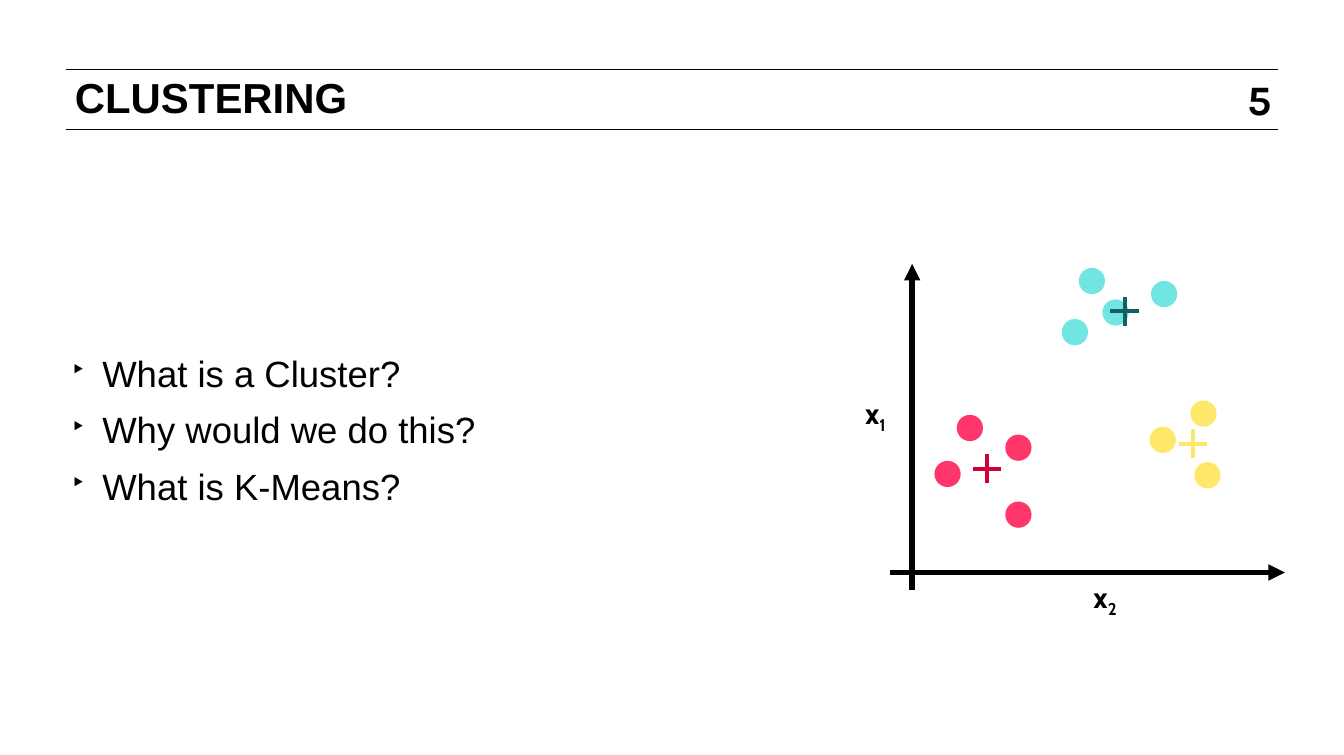
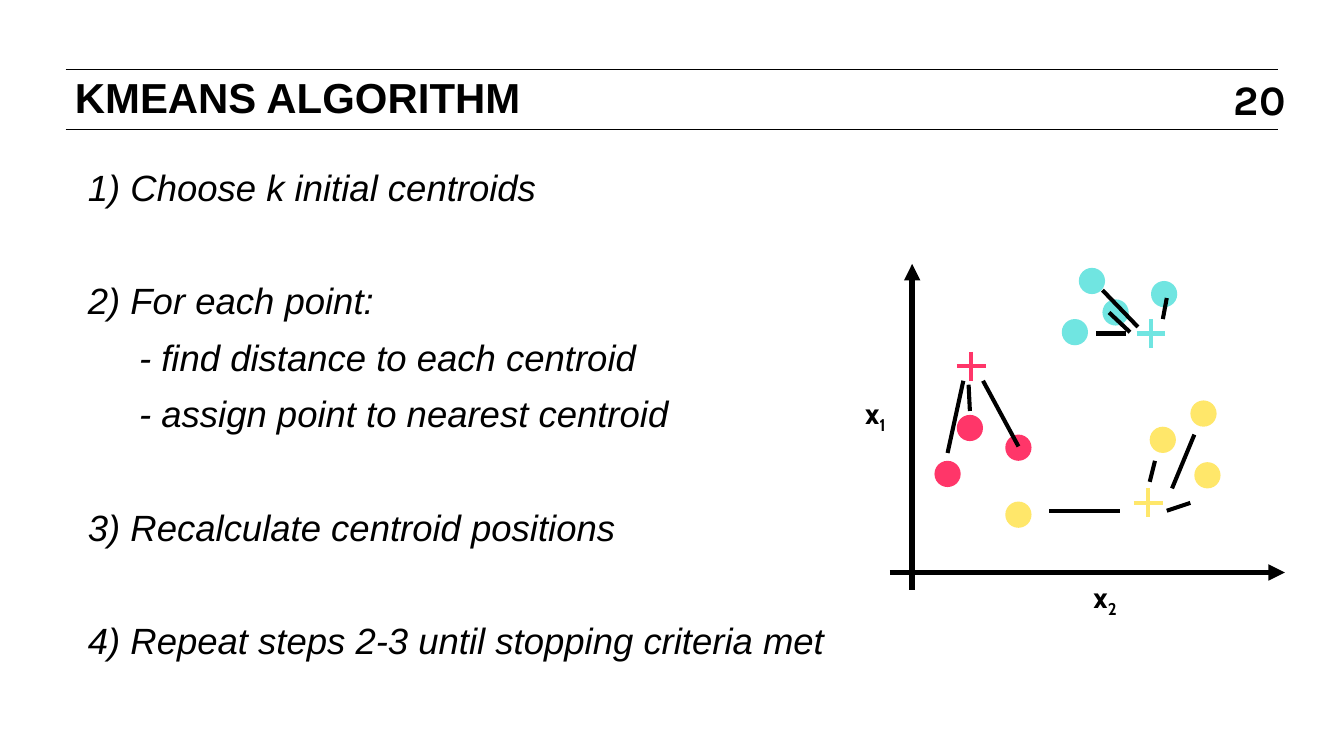
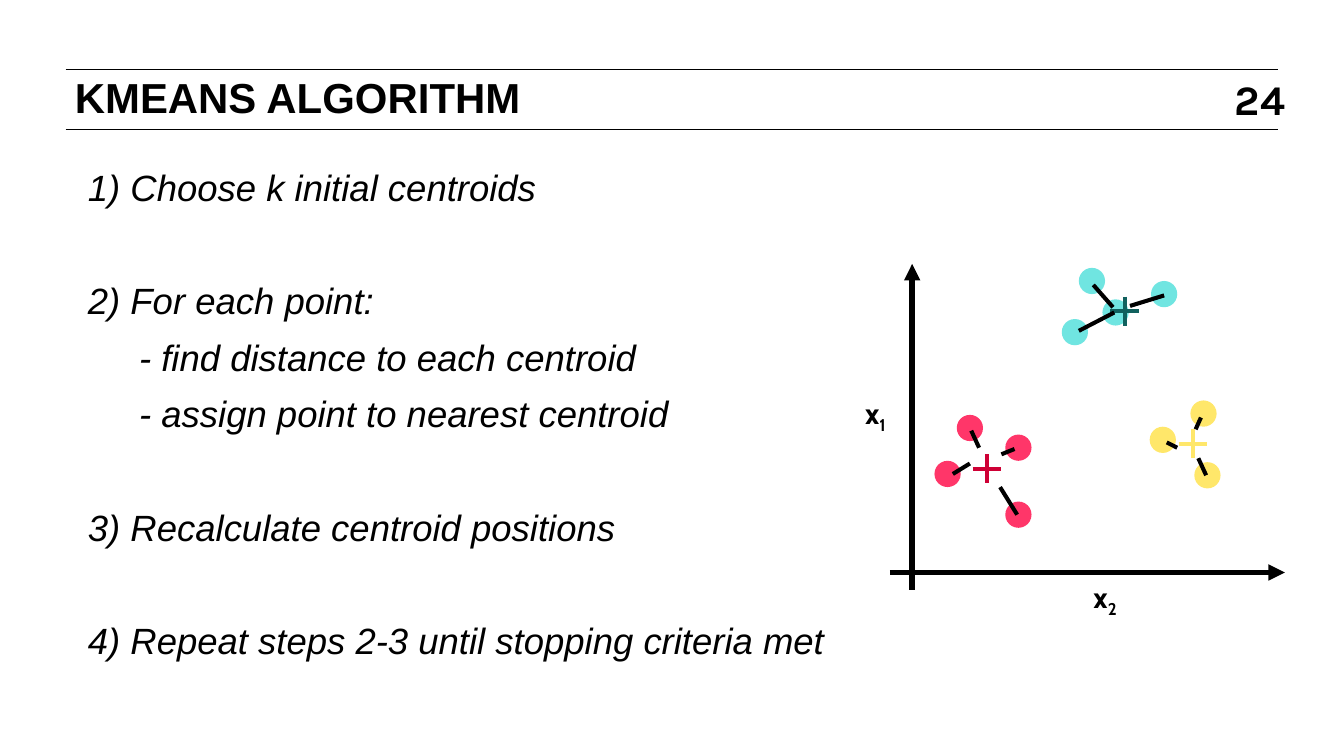
from lxml.etree import SubElement
from pptx import Presentation
from pptx.dml.color import RGBColor
from pptx.enum.shapes import MSO_CONNECTOR as CONNECTOR, MSO_SHAPE as SHAPE
from pptx.enum.text import MSO_ANCHOR as ANCHOR, MSO_AUTO_SIZE as FIT, PP_ALIGN as ALIGN
from pptx.oxml.ns import qn
from pptx.util import Emu, Pt

BLACK, PINK, CYAN, YELLOW = "000000", "FF3669", "70E5E1", "FFE76A"
DARK_PINK, DARK_CYAN = "CE0035", "11615E"

PINK_POINTS = [(739, 326), (776, 341), (722, 361)]
CYAN_POINTS = [(819, 253), (850, 238), (832, 214), (887, 224)]
YELLOW_POINTS = [(917, 315), (886, 335), (920, 362)]
BORDER_POINT = (776, 392)

INITIAL_CENTROIDS = [(740, 279, PINK), (877, 254, CYAN), (875, 383, YELLOW)]
FINAL_CENTROIDS = [(752, 357, DARK_PINK), (857, 237, DARK_CYAN), (909, 338, YELLOW)]

INITIAL_LINKS = [
    (738, 293, 739, 313), (734, 290, 722, 345), (749, 290, 776, 340),
    (840, 221, 867, 249), (845, 238, 861, 253), (889, 227, 886, 243),
    (853, 389, 799, 389), (880, 351, 876, 367), (910, 331, 893, 372),
    (907, 383, 889, 389), (858, 254, 835, 254),
]
FINAL_LINKS = [
    (822, 252, 849, 238), (861, 233, 887, 225), (833, 217, 848, 234),
    (726, 361, 739, 353), (763, 346, 773, 342), (740, 328, 746, 341),
    (762, 371, 775, 392), (913, 349, 919, 362), (911, 327, 915, 318),
    (889, 337, 897, 341),
]

QUESTIONS = ["What is a Cluster?", "Why would we do this?", "What is K-Means?"]
STEPS = [
    ("1) Choose k initial centroids", []),
    ("2) For each point:", ["- find distance to each centroid",
                            "- assign point to nearest centroid"]),
    ("3) Recalculate centroid positions", []),
    ("4) Repeat steps 2-3 until stopping criteria met", []),
]


def px(length):
    return Emu(length * 9144)


def color(value):
    return RGBColor.from_string(value)


class Deck:
    font, label_font, number_font = "Arial", "Cabin", "Karla"
    title_size, body_size, label_size = 23, 20, 16
    line_spacing, gap = 24, 7
    dot_size, arm = 20, 11

    def __init__(self):
        self.presentation = Presentation()
        self.presentation.slide_width = px(1024)
        self.presentation.slide_height = px(575)
        self.slide = None

    def add_slide(self, title, number):
        self.slide = self.presentation.slides.add_slide(self.presentation.slide_layouts[5])
        for y in (53, 99):
            self.line(50, y, 974, y, width=0.5)
        frame = self.text_box(920, 56, 80, 38, margin=0, anchor=ANCHOR.MIDDLE)
        paragraph = self.paragraph(frame, align=ALIGN.CENTER)
        self.run(paragraph, number, self.title_size, self.number_font, bold=True)
        shape = self.slide.shapes.title
        frame = self.frame(shape, 51, 55, 861, 111, margin=6)
        frame.auto_size = FIT.NONE
        paragraph = self.paragraph(frame, spacing=self.title_size)
        self.run(paragraph, title, self.title_size, bold=True)

    def text_box(self, left, top, width, height, **options):
        shape = self.slide.shapes.add_textbox(0, 0, 0, 0)
        return self.frame(shape, left, top, width, height, **options)

    def frame(self, shape, left, top, width, height, margin=5, anchor=ANCHOR.TOP):
        shape.left, shape.top = px(left), px(top)
        shape.width, shape.height = px(width), px(height)
        frame = shape.text_frame
        frame.margin_left = frame.margin_right = px(margin)
        frame.margin_top = frame.margin_bottom = px(margin)
        frame.vertical_anchor = anchor
        frame.word_wrap = True
        frame.auto_size = FIT.SHAPE_TO_FIT_TEXT
        return frame

    def paragraph(self, frame, align=ALIGN.LEFT, spacing=None, before=0, indent=0, hanging=0):
        paragraph = frame.paragraphs[0]
        if paragraph.runs:
            paragraph = frame.add_paragraph()
        paragraph.alignment = align
        if spacing:
            paragraph.line_spacing = Pt(spacing)
        paragraph.space_before = Pt(before)
        properties = paragraph._p.get_or_add_pPr()
        properties.set("marL", str(px(indent)))
        properties.set("indent", str(px(-hanging)))
        return paragraph

    def run(self, paragraph, text, size, font=None, bold=False, italic=False):
        run = paragraph.add_run()
        run.text = text
        run.font.name = font or self.font
        run.font.size = Pt(size)
        run.font.bold, run.font.italic = bold, italic
        run.font.color.rgb = color(BLACK)
        return run

    def bullets(self, left, top, width, height, items):
        frame = self.text_box(left, top, width, height, margin=0, anchor=ANCHOR.MIDDLE)
        for item in items:
            paragraph = self.paragraph(frame, spacing=self.line_spacing, before=self.gap,
                                       indent=28, hanging=24)
            properties = paragraph._p.get_or_add_pPr()
            bullet_color = SubElement(properties, qn("a:buClr"))
            SubElement(bullet_color, qn("a:srgbClr"), val=BLACK)
            SubElement(properties, qn("a:buSzPct"), val="69000")
            SubElement(properties, qn("a:buChar"), char="‣")
            self.run(paragraph, item, self.body_size)

    def steps(self, left, top, width, height, steps):
        frame = self.text_box(left, top, width, height)
        before = self.gap
        for step, details in steps:
            for text, indent in [(step, 0)] + [(detail, 39) for detail in details]:
                paragraph = self.paragraph(frame, spacing=self.line_spacing, before=before,
                                           indent=indent)
                self.run(paragraph, text, self.body_size, italic=True)
                before = self.gap
            before = self.line_spacing + 2 * self.gap

    def line(self, x1, y1, x2, y2, line_color=BLACK, width=2.25, arrow=False, shapes=None):
        shapes = shapes or self.slide.shapes
        connector = shapes.add_connector(CONNECTOR.STRAIGHT, px(x1), px(y1), px(x2), px(y2))
        connector.line.color.rgb = color(line_color)
        connector.line.width = Pt(width)
        properties = connector._element.spPr
        if arrow:
            SubElement(properties.get_or_add_ln(), qn("a:tailEnd"), type="triangle")
        SubElement(properties, qn("a:effectLst"))

    def dot(self, x, y, fill):
        half = self.dot_size // 2
        shape = self.slide.shapes.add_shape(SHAPE.OVAL, px(x - half), px(y - half),
                                            px(self.dot_size), px(self.dot_size))
        shape.shadow.inherit = False
        shape.fill.solid()
        shape.fill.fore_color.rgb = color(fill)
        shape.line.fill.background()

    def centroid(self, x, y, line_color):
        shapes = self.slide.shapes.add_group_shape().shapes
        self.line(x - self.arm, y, x + self.arm, y, line_color, shapes=shapes)
        self.line(x, y - self.arm, x, y + self.arm, line_color, shapes=shapes)

    def axis_label(self, left, top, index):
        paragraph = self.paragraph(self.text_box(left, top, 44, 41), align=ALIGN.CENTER)
        self.run(paragraph, "x", self.label_size, self.label_font, bold=True)
        subscript = self.run(paragraph, index, self.label_size, self.label_font, bold=True)
        subscript._r.get_or_add_rPr().set("baseline", "-25000")

    def scatter(self, centroids, links=(), border_color=PINK):
        self.line(695, 449, 695, 201, width=3, arrow=True)
        self.line(678, 436, 979, 436, width=3, arrow=True)
        clusters = [(PINK_POINTS, PINK), (CYAN_POINTS, CYAN), (YELLOW_POINTS, YELLOW),
                    ([BORDER_POINT], border_color)]
        for points, fill in clusters:
            for x, y in points:
                self.dot(x, y, fill)
        for centroid in centroids:
            self.centroid(*centroid)
        for link in links:
            self.line(*link)
        self.axis_label(645, 296, "1")
        self.axis_label(820, 436, "2")


def main():
    deck = Deck()
    deck.add_slide("CLUSTERING", "5")
    deck.bullets(50, 266, 556, 122, QUESTIONS)
    deck.scatter(FINAL_CENTROIDS)

    for number, centroids, links, border_color in [
        ("20", INITIAL_CENTROIDS, INITIAL_LINKS, YELLOW),
        ("24", FINAL_CENTROIDS, FINAL_LINKS, PINK),
    ]:
        deck.add_slide("KMEANS ALGORITHM", number)
        deck.steps(62, 121, 603, 396, STEPS)
        deck.scatter(centroids, links, border_color)

    deck.presentation.save("out.pptx")


if __name__ == "__main__":
    main()
